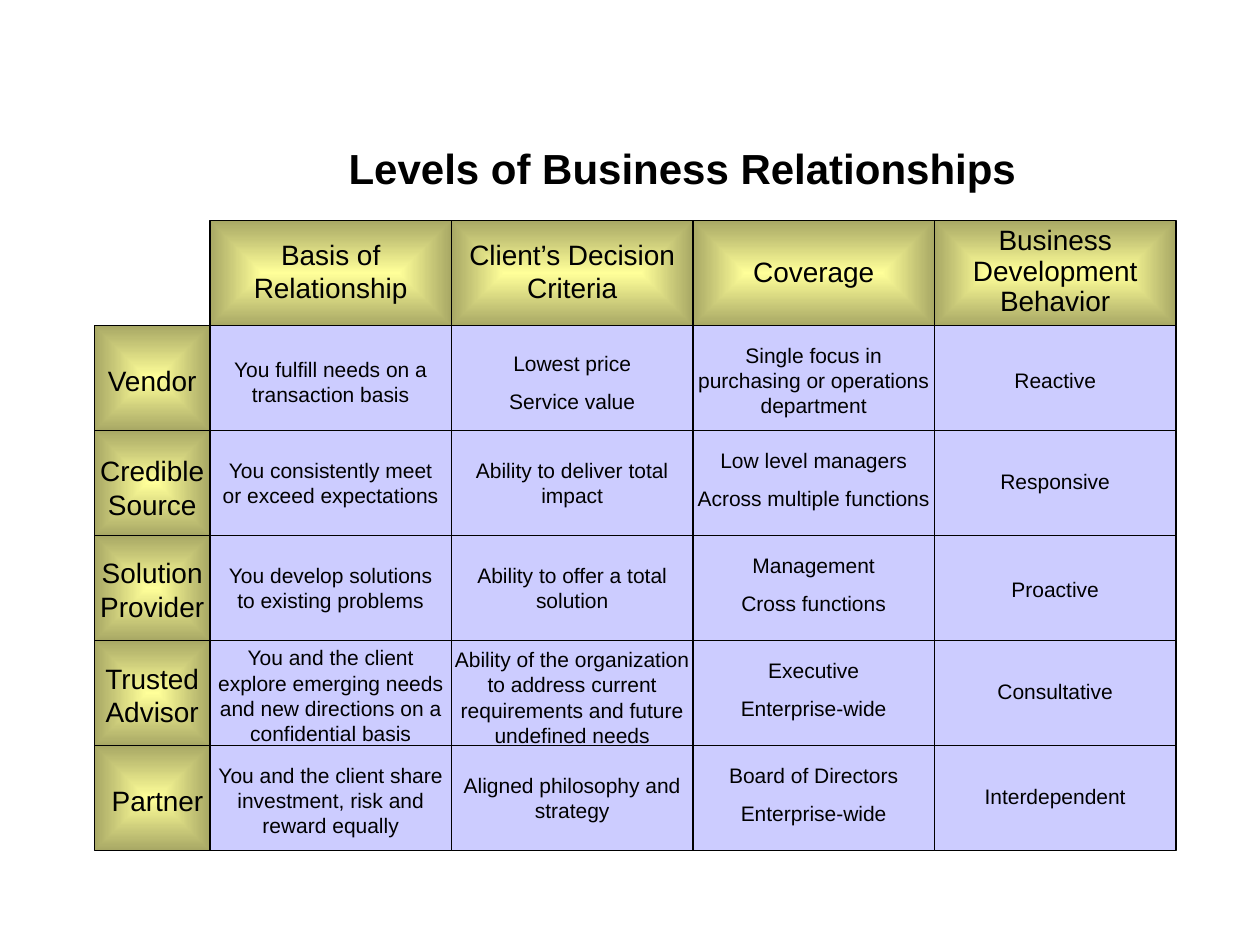
import dataclasses

import lxml.etree
import pptx
import pptx.dml.color
import pptx.enum.shapes
import pptx.enum.text
import pptx.oxml
import pptx.oxml.ns
import pptx.util

Pt = pptx.util.Pt
ALIGN = pptx.enum.text.PP_ALIGN
COLORS = {"text": "000000", "line": "000000", "body": "CCCCFF",
          "glow": "FFFF99", "edge": "A8A865"}
LEFT, TOP = 54, 126
LABEL_W, COL_W, ROW_H = 66, 138, 60
INSET_V = 7.2


@dataclasses.dataclass
class Style:
    size: float
    line_height: float
    space_before: float
    bold: bool = False
    align: ALIGN = ALIGN.CENTER


@dataclasses.dataclass
class Cell:
    text: str
    dy: float
    lines: int
    left_pad: float = 0
    right_pad: float = 0
    spacing: float = 1.0


HEADING = Style(16, 19.4, 10)
BODY = Style(12, 14.4, 7.5)
TITLE = Style(24, 28.8, 15, True, ALIGN.LEFT)


def wide(text: str, dy: float, lines: int) -> Cell:
    return Cell(text, dy, lines, 6, 6)


GRID = [
    [None,
     Cell("Basis of Relationship", 6, 2),
     Cell("Client’s Decision Criteria", 6, 2),
     Cell("Coverage", 16, 1),
     Cell("Business Development Behavior", 0, 3, spacing=0.9)],
    [Cell("Vendor", 18, 1),
     Cell("You fulfill needs on a transaction basis", 14, 2),
     wide("Lowest price\nService value", 10.5, 2),
     wide("Single focus in purchasing or operations department", 6, 3),
     wide("Reactive", 20.5, 1)],
    [wide("Credible Source", 9.6, 2),
     Cell("You consistently meet or exceed expectations", 12, 2),
     wide("Ability to deliver total impact", 12, 2),
     wide("Low level managers\nAcross multiple functions", 6, 2),
     wide("Responsive", 18, 1)],
    [wide("Solution Provider", 8, 2),
     Cell("You develop solutions to existing problems", 12, 2),
     wide("Ability to offer a total solution", 12, 2),
     wide("Management\nCross functions", 6, 2),
     wide("Proactive", 20, 1)],
    [wide("Trusted Advisor", 8.4, 2),
     wide("You and the client explore emerging needs and new directions "
          "on a confidential basis", -1, 4),
     wide("Ability of the organization to address current requirements "
          "and future undefined needs", 0, 4),
     wide("Executive\nEnterprise-wide", 6, 2),
     wide("Consultative", 18, 1)],
    [Cell("Partner", 18, 1, 6, 12),
     wide("You and the client share investment, risk and reward equally", 6, 3),
     wide("Aligned philosophy and strategy", 12, 2),
     wide("Board of Directors\nEnterprise-wide", 6, 2),
     wide("Interdependent", 18, 1)],
]


def rgb(name: str) -> pptx.dml.color.RGBColor:
    return pptx.dml.color.RGBColor.from_string(COLORS[name])


def apply(target: object, values: dict) -> None:
    for name, value in values.items():
        setattr(target, name, value)


def glow_fill(sp) -> None:
    sp.fill.gradient()
    for stop, name in zip(sp.fill.gradient_stops, ("glow", "edge")):
        stop.color.rgb = rgb(name)
    qn = pptx.oxml.ns.qn
    lin = sp._element.spPr.find(qn("a:gradFill")).find(qn("a:lin"))
    centre = pptx.oxml.parse_xml(
        f'<a:path {pptx.oxml.ns.nsdecls("a")} path="rect"><a:fillToRect '
        'l="50000" t="50000" r="50000" b="50000"/></a:path>')
    lin.getparent().replace(lin, centre)


def add_box(slide, x: float, y: float, w: float, heading: bool) -> None:
    sp = slide.shapes.add_shape(pptx.enum.shapes.MSO_SHAPE.RECTANGLE,
                                Pt(x), Pt(y), Pt(w), Pt(ROW_H))
    sp.shadow.inherit = False
    if heading:
        glow_fill(sp)
    else:
        sp.fill.solid()
        sp.fill.fore_color.rgb = rgb("body")
    sp.line.color.rgb = rgb("line")
    sp.line.width = Pt(0.75)


def write(tf, text: str, style: Style, spacing: float = 1.0) -> None:
    apply(tf, {
        "word_wrap": True,
        "auto_size": pptx.enum.text.MSO_AUTO_SIZE.SHAPE_TO_FIT_TEXT,
        "vertical_anchor": pptx.enum.text.MSO_ANCHOR.TOP,
    })
    for i, line in enumerate(text.split("\n")):
        p = tf.paragraphs[0] if i == 0 else tf.add_paragraph()
        apply(p, {"alignment": style.align, "line_spacing": spacing,
                  "space_before": Pt(style.space_before)})
        r = p.add_run()
        r.text = line
        apply(r.font, {"name": "Arial", "size": Pt(style.size),
                       "bold": style.bold})
        r.font.color.rgb = rgb("text")


def add_text(slide, cell: Cell, x: float, y: float, w: float,
             style: Style) -> None:
    gaps = cell.text.count("\n") * style.space_before
    h = INSET_V + cell.lines * style.line_height * cell.spacing + gaps
    sp = slide.shapes.add_textbox(
        Pt(x - cell.left_pad), Pt(y + cell.dy),
        Pt(w + cell.left_pad + cell.right_pad), Pt(h))
    write(sp.text_frame, cell.text, style, cell.spacing)


def main() -> None:
    prs = pptx.Presentation()
    apply(prs, {"slide_width": Pt(720), "slide_height": Pt(540)})
    slide = prs.slides.add_slide(prs.slide_layouts[5])

    title = slide.shapes.title
    apply(title, {"left": Pt(192), "top": Pt(78),
                  "width": Pt(408), "height": Pt(36)})
    write(title.text_frame, "Levels of Business Relationships", TITLE)

    placed = []
    for row, cells in enumerate(GRID):
        for col, cell in enumerate(cells):
            if cell is None:
                continue
            x = LEFT if col == 0 else LEFT + LABEL_W + (col - 1) * COL_W
            w = LABEL_W if col == 0 else COL_W
            placed.append((cell, x, TOP + row * ROW_H, w, row == 0 or col == 0))
    for _, x, y, w, heading in placed:
        add_box(slide, x, y, w, heading)
    for cell, x, y, w, heading in placed:
        add_text(slide, cell, x, y, w, HEADING if heading else BODY)

    prs.save("out.pptx")


if __name__ == "__main__":
    main()
